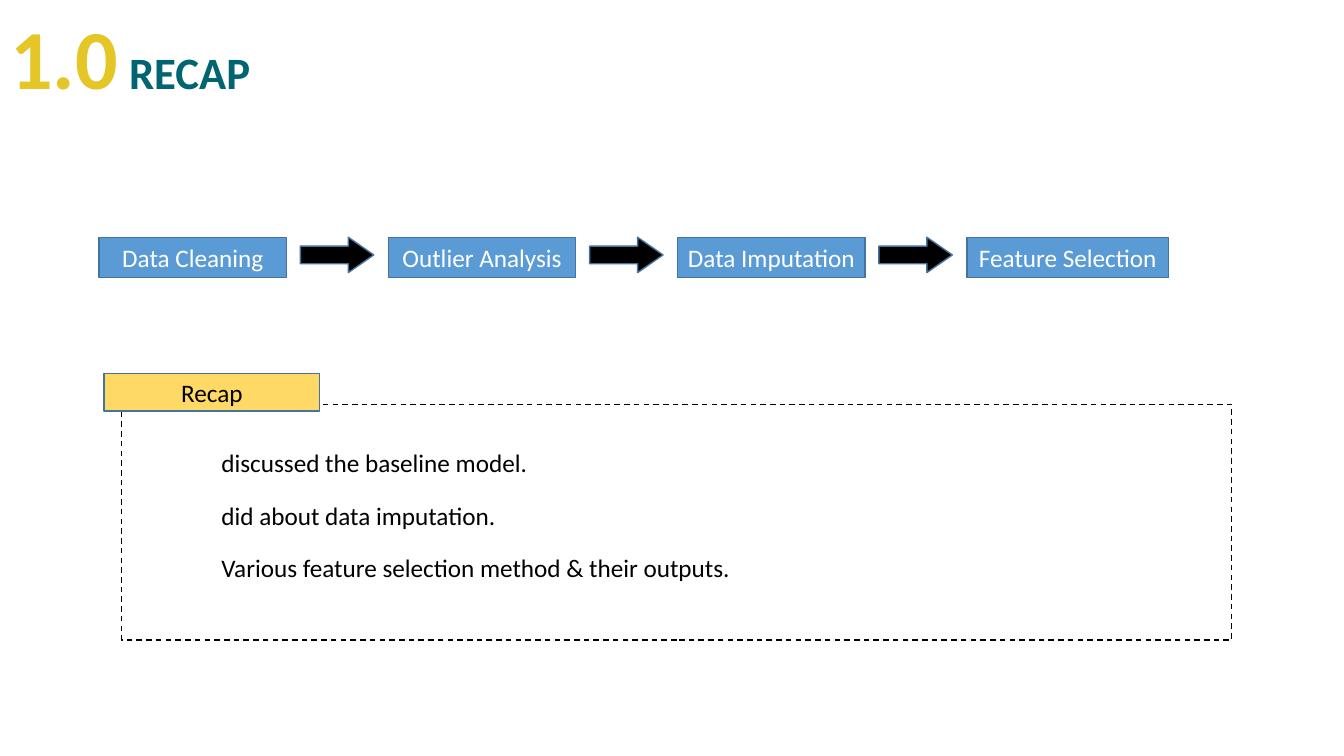
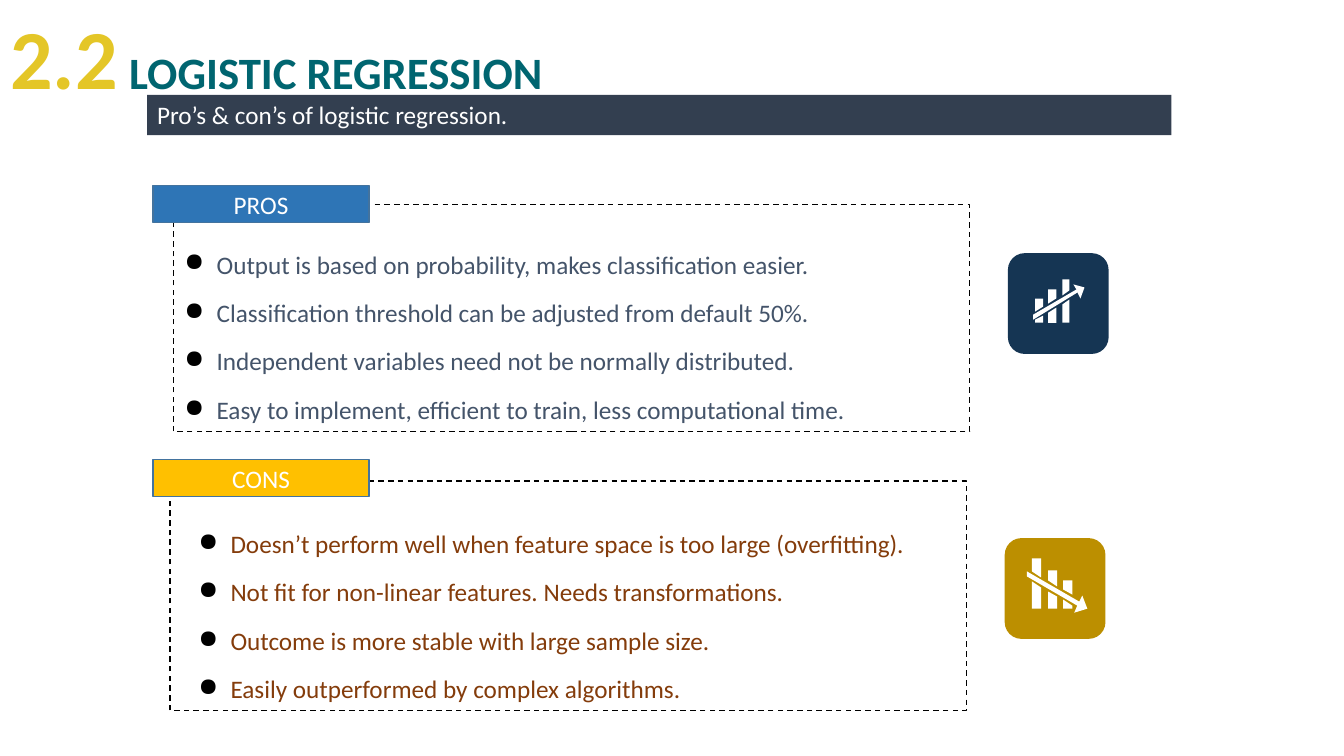
from dataclasses import dataclass

from lxml.etree import SubElement
from pptx import Presentation
from pptx.dml.color import RGBColor
from pptx.enum.dml import MSO_LINE
from pptx.enum.shapes import MSO_SHAPE as Preset
from pptx.enum.text import MSO_ANCHOR as Anchor, MSO_AUTO_SIZE as AutoSize, PP_ALIGN as Align
from pptx.oxml.ns import qn
from pptx.util import Cm, Pt


@dataclass(frozen=True)
class Theme:
    font: str = "Calibri"
    number_size: int = 60
    gap_size: int = 36
    title_size: int = 32
    body_size: int = 18
    white: str = "FFFFFF"
    black: str = "000000"
    gold: str = "E4C627"
    teal: str = "006570"
    outline: str = "43739E"
    step: str = "5B9BD5"
    banner: str = "333F50"
    recap: str = "FFD966"
    pros: str = "2E75B6"
    pros_text: str = "44546A"
    pros_tile: str = "153553"
    cons: str = "FFC000"
    cons_text: str = "843C0B"
    cons_tile: str = "BC8F00"


theme = Theme()
CENTRED = {"vertical_anchor": Anchor.MIDDLE}
GROWING = {"vertical_anchor": Anchor.TOP, "auto_size": AutoSize.SHAPE_TO_FIT_TEXT}


def add_box(page, preset, area, fill=None, line=None):
    box = page.shapes.add_shape(preset, *(Cm(length) for length in area))
    box.shadow.inherit = False
    if fill:
        box.fill.solid()
        box.fill.fore_color.rgb = RGBColor.from_string(fill)
    else:
        box.fill.background()
    if line:
        box.line.color.rgb = RGBColor.from_string(line)
        box.line.width = Pt(1)
    else:
        box.line.fill.background()
    return box


def write(box, lines, frame_format, align=Align.LEFT, gap=0, bullets=False):
    """Fill a box with lines, each a list of (text, size, colour, bold) spans."""
    frame = box.text_frame
    for name, value in {"word_wrap": True, **frame_format}.items():
        setattr(frame, name, value)
    for index, spans in enumerate(lines):
        para = frame.add_paragraph() if index else frame.paragraphs[0]
        para.alignment = align
        para.space_before = Pt(gap if index else 0)
        if bullets:
            properties = para._p.get_or_add_pPr()
            properties.set("marL", str(Cm(1.27)))
            properties.set("indent", str(Cm(-0.81)))
            colour = SubElement(properties, qn("a:buClr"))
            SubElement(colour, qn("a:srgbClr"), val=theme.black)
            SubElement(properties, qn("a:buChar"), char="●")
            para.line_spacing = 1.6
        for text, size, colour, bold in spans:
            span = para.add_run()
            span.text = text
            span.font.color.rgb = RGBColor.from_string(colour)
            font_format = {"name": theme.font, "size": Pt(size), "bold": bold}
            for name, value in font_format.items():
                setattr(span.font, name, value)


deck = Presentation()
deck.slide_width, deck.slide_height = Cm(33.87), Cm(19.05)
layout = deck.slide_layouts.get_by_name("Title Only")

# Titles
pages = []
for number, heading, width in [("1.0", "RECAP", 22.9), ("2.2", "LOGISTIC REGRESSION", 18)]:
    page = deck.slides.add_slide(layout)
    pages.append(page)
    title = page.shapes.title
    title.left, title.top, title.width, title.height = Cm(0), Cm(0), Cm(width), Cm(2.82)
    title.fill.solid()
    title.fill.fore_color.rgb = RGBColor.from_string(theme.white)
    write(title, [[(number, theme.number_size, theme.gold, True),
                   (" ", theme.gap_size, theme.teal, True),
                   (heading, theme.title_size, theme.teal, True)]], GROWING)
recap_page, regression_page = pages

# Process steps, with an arrow between neighbours
steps = ["Data Cleaning", "Outlier Analysis", "Data Imputation", "Feature Selection"]
for index, step in enumerate(steps):
    left = 2.5 + 7.29 * index
    is_last = index == len(steps) - 1
    box = add_box(recap_page, Preset.RECTANGLE, (left, 5.98, 5.08 if is_last else 4.72, 1.02),
                  theme.step, theme.outline)
    write(box, [[(step, theme.body_size, theme.white, False)]], CENTRED, Align.CENTER)
    if not is_last:
        arrow = add_box(recap_page, Preset.RIGHT_ARROW, (left + 5.07, 5.98, 1.85, 0.89),
                        theme.black, theme.outline)
        arrow.adjustments[1] = 0.72

# Subtitle banner
banner = add_box(regression_page, Preset.RECTANGLE, (3.71, 2.39, 25.81, 1.02), theme.banner)
write(banner, [[("Pro’s & con’s of logistic regression.", theme.body_size, theme.white, False)]],
      GROWING)

# Dashed panels, each with a label on its top left corner
panels = [
    {"page": recap_page, "label": "Recap", "fill": theme.recap, "label_colour": theme.black,
     "corner": (2.62, 9.42), "frame": (3.07, 10.19, 27.97, 5.94),
     "text": (5.33, 11.15, 25.32, 3.71), "colour": theme.black,
     "style": {"gap": 16},
     "lines": ["discussed the baseline model.",
               "did about data imputation.",
               "Various feature selection method & their outputs."]},
    {"page": regression_page, "label": "PROS", "fill": theme.pros, "label_colour": theme.white,
     "corner": (3.86, 4.67), "frame": (4.37, 5.16, 20.07, 5.72),
     "text": (3.94, 5.69, 21.67, 5.18), "colour": theme.pros_text,
     "style": {"align": Align.JUSTIFY, "bullets": True},
     "lines": ["Output is based on probability, makes classification easier.",
               "Classification threshold can be adjusted from default 50%.",
               "Independent variables need not be normally distributed.",
               "Easy to implement, efficient to train, less computational time."]},
    {"page": regression_page, "label": "CONS", "fill": theme.cons, "label_colour": theme.white,
     "corner": (3.86, 11.58), "frame": (4.29, 12.12, 20.07, 5.79),
     "text": (4.29, 12.73, 19.2, 5.18), "colour": theme.cons_text,
     "style": {"align": Align.JUSTIFY, "bullets": True},
     "lines": ["Doesn’t perform well when feature space is too large (overfitting).",
               "Not fit for non-linear features. Needs transformations.",
               "Outcome is more stable with large sample size.",
               "Easily outperformed by complex algorithms."]},
]
for panel in panels:
    page = panel["page"]
    frame = add_box(page, Preset.RECTANGLE, panel["frame"], line=theme.black)
    frame.line.dash_style = MSO_LINE.DASH
    label = add_box(page, Preset.RECTANGLE, (*panel["corner"], 5.44, 0.94),
                    panel["fill"], theme.outline)
    write(label, [[(panel["label"], theme.body_size, panel["label_colour"], False)]],
          CENTRED, Align.CENTER)
    text_box = page.shapes.add_textbox(*(Cm(length) for length in panel["text"]))
    write(text_box, [[(line, theme.body_size, panel["colour"], False)] for line in panel["lines"]],
          GROWING, **panel["style"])

# Trend icons, drawn in hundredths of the tile side. Each bar is left, right, top,
# then the heights where the gap for the arrow starts and ends on either side.
TILE = 2.54
icons = [
    {"corner": (25.4, 6.38), "fill": theme.pros_tile, "base": 69,
     "bars": [(27, 35, 45, 58, 53, 66, 62), (40, 48, 36, 50, 45, 59, 54),
              (54, 61, 26, 42, 37, 51, 46)],
     "arrow": [(65, 31), (68, 36), (25, 61), (25, 66), (69, 39), (72, 45), (76, 34)]},
    {"corner": (25.32, 13.56), "fill": theme.cons_tile, "base": 70,
     "bars": [(27, 36, 20, 33, 39, 43, 49), (43, 52, 32, 42, 48, 53, 58),
              (58, 67, 42, 51, 56, 61, 67)],
     "arrow": [(22, 33), (22, 38), (72, 67), (69, 74), (82, 70), (77, 57), (74, 63)]},
]
for icon in icons:
    left, top = icon["corner"]
    add_box(regression_page, Preset.ROUNDED_RECTANGLE, (left, top, TILE, TILE), icon["fill"])
    outlines = [icon["arrow"]]
    for x1, x2, peak, start1, start2, end1, end2 in icon["bars"]:
        outlines.append([(x1, peak), (x2, peak), (x2, start2), (x1, start1)])
        outlines.append([(x1, end1), (x2, end2), (x2, icon["base"]), (x1, icon["base"])])
    group = regression_page.shapes.add_group_shape()
    for first, *others in outlines:
        builder = group.shapes.build_freeform(*first, scale=Cm(TILE) / 100)
        builder.add_line_segments(others, close=True)
        piece = builder.convert_to_shape(Cm(left), Cm(top))
        piece.shadow.inherit = False
        piece.fill.solid()
        piece.fill.fore_color.rgb = RGBColor.from_string(theme.white)
        piece.line.fill.background()

deck.save("out.pptx")
